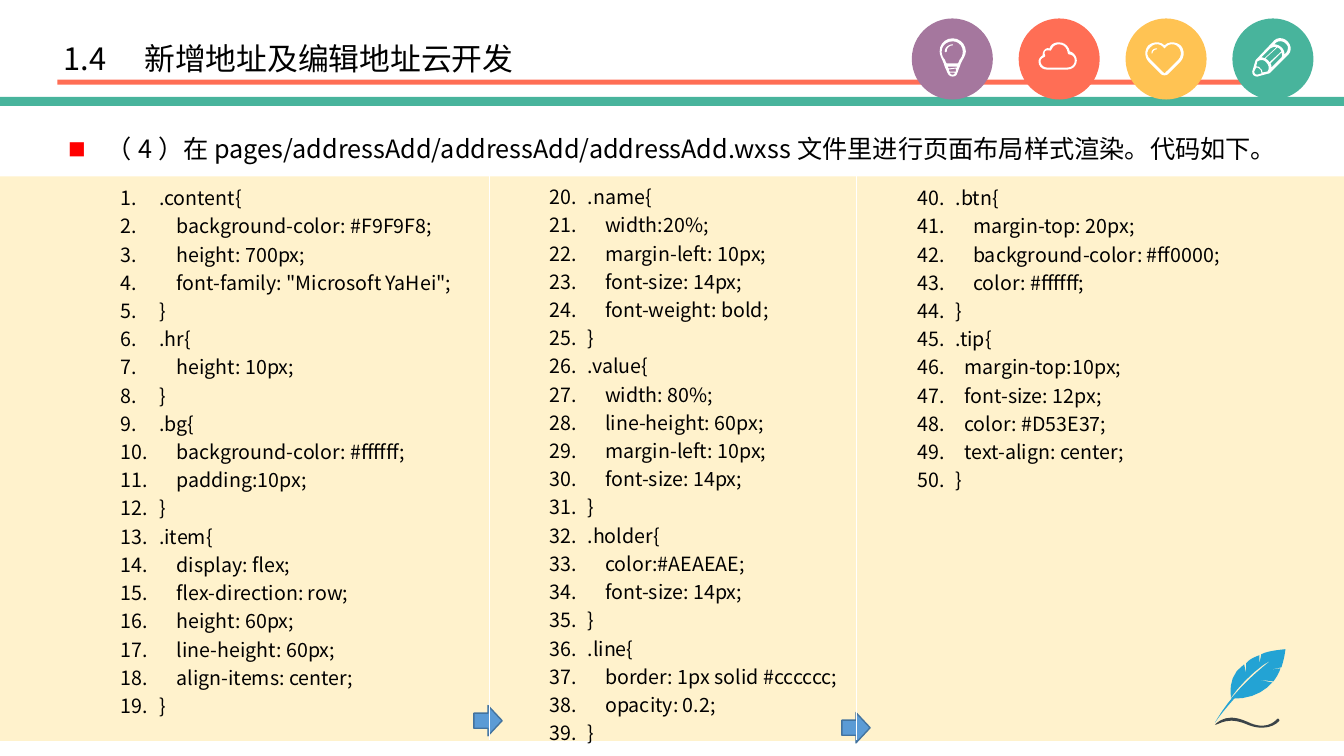
import pptx
import pptx.util
import pptx.dml.color
import pptx.enum.shapes
import pptx.enum.text
from lxml import etree

PX = 9144  # 100 px to the inch
A = "{http://schemas.openxmlformats.org/drawingml/2006/main}"
SHAPE = pptx.enum.shapes.MSO_SHAPE
THEME = {
    "font": "Noto Sans CJK SC", "title": 22, "body": 18, "code": 14,
    "black": "000000", "white": "FFFFFF", "red": "FF0000",
    "coral": "FF6E55", "green": "48B49C", "purple": "A5779E", "yellow": "FFC353",
    "panel": "FFF2CC", "arrow": "5B9BD5", "arrow edge": "43739E",
    "feather": "23A3D4", "ink": "3B4449",
}

# A contour is a list of points: (x, y) ends a line, (x1, y1, x2, y2, x, y) ends a curve.
PENCIL = [
    [(1276, 52), (1274, 54), (1274, 51, 1273, 49, 1271, 47), (1269, 45, 1266, 44, 1264, 44),
     (1266, 42), (1269, 40, 1273, 41, 1275, 43), (1278, 45, 1278, 49, 1276, 52)],
    [(1252, 72), (1252, 71, 1252, 69, 1250, 68), (1249, 66, 1248, 66, 1246, 66), (1247, 61),
     (1250, 59, 1254, 59, 1256, 62), (1259, 65, 1259, 69, 1257, 71)],
    [(1247, 74), (1245, 74, 1244, 73, 1244, 71), (1246, 67), (1247, 67, 1248, 67, 1250, 69),
     (1251, 70, 1251, 71, 1251, 73)],
    [(1254, 58), (1253, 57, 1252, 57, 1251, 57), (1260, 48), (1262, 47, 1264, 46, 1266, 47)],
    [(1259, 62), (1259, 61, 1257, 59, 1255, 58), (1267, 47), (1269, 48, 1270, 49, 1271, 51)],
    [(1261, 67), (1261, 65, 1261, 64, 1260, 63), (1271, 52), (1272, 54, 1272, 57, 1270, 58)],
    [(1277, 41), (1273, 37, 1267, 37, 1264, 40), (1246, 59), (1246, 59, 1245, 60, 1245, 61),
     (1242, 71), (1242, 74, 1244, 76, 1247, 76), (1258, 73), (1258, 73, 1259, 73, 1260, 72),
     (1278, 54), (1281, 51, 1281, 45, 1277, 41)],
]
BULB = [
    [(950, 63), (939, 63), (938, 62, 938, 61, 937, 59), (935, 57, 934, 54, 934, 51),
     (934, 45, 939, 41, 945, 41), (950, 41, 955, 45, 955, 51), (955, 54, 954, 57, 952, 59),
     (951, 61, 951, 62, 950, 63)],
    [(945, 74), (943, 74, 943, 74, 942, 72), (947, 72), (947, 74, 946, 74, 945, 74)],
    [(941, 68), (940, 67, 940, 66, 940, 66), (949, 66), (949, 66, 949, 66, 949, 67)],
    [(948, 71), (942, 71), (942, 71, 941, 70, 941, 69), (948, 68), (948, 69, 948, 70, 948, 71)],
    [(945, 38), (937, 38, 932, 44, 932, 51), (932, 56, 936, 61, 937, 66),
     (940, 72, 940, 76, 945, 76), (950, 76, 949, 72, 952, 66), (953, 61, 958, 56, 958, 51),
     (958, 44, 952, 38, 945, 38)],
]
BULB_GLINT = [[(945, 44), (941, 44, 937, 47, 937, 51), (937, 52, 939, 52, 939, 51),
               (939, 48, 941, 45, 945, 45)]]
HEART = [
    [(1169, 59), (1156, 72), (1155, 73, 1155, 73, 1154, 72), (1141, 59),
     (1137, 56, 1137, 50, 1141, 47), (1144, 43, 1150, 43, 1153, 46), (1155, 48), (1157, 46),
     (1160, 43, 1166, 43, 1169, 47), (1172, 50, 1172, 56, 1169, 59)],
    [(1171, 45), (1166, 41, 1159, 41, 1155, 45), (1151, 41, 1144, 41, 1139, 45),
     (1135, 49, 1135, 57, 1139, 61), (1152, 74), (1154, 75, 1156, 75, 1158, 74), (1171, 61),
     (1175, 57, 1175, 49, 1171, 45)],
]
HEART_GLINT = [[(1147, 48), (1144, 48, 1142, 50, 1142, 53), (1143, 53),
                (1143, 51, 1145, 49, 1147, 49), (1148, 49, 1148, 48, 1147, 48)]]
CLOUD = [
    [(1059, 67), (1038, 67), (1035, 67, 1032, 64, 1032, 61), (1032, 59, 1033, 58, 1035, 57),
     (1037, 56, 1037, 56, 1036, 53), (1036, 51, 1037, 50, 1039, 50),
     (1039, 50, 1040, 50, 1041, 50), (1042, 51, 1042, 50, 1043, 49),
     (1044, 46, 1047, 44, 1050, 44), (1055, 44, 1058, 47, 1059, 52),
     (1059, 53, 1059, 53, 1060, 54), (1064, 54, 1066, 57, 1066, 60),
     (1066, 64, 1063, 67, 1059, 67)],
    [(1061, 51), (1060, 46, 1056, 42, 1050, 42), (1046, 42, 1042, 44, 1041, 48),
     (1037, 47, 1034, 50, 1034, 55), (1032, 56, 1030, 59, 1030, 61),
     (1030, 66, 1034, 69, 1038, 69), (1059, 69), (1064, 69, 1068, 65, 1068, 60),
     (1068, 56, 1065, 52, 1061, 51)],
]
FEATHER = [[
    (1275, 644), (1266, 645, 1257, 646, 1251, 649), (1249, 659), (1249, 650),
    (1244, 652, 1239, 654, 1236, 658), (1236, 668), (1234, 659),
    (1219, 669, 1220, 685, 1221, 692), (1230, 679, 1247, 662, 1262, 654),
    (1262, 654, 1238, 672, 1221, 693), (1241, 694, 1254, 686, 1262, 677), (1247, 674),
    (1263, 676), (1266, 672, 1269, 667, 1270, 663), (1257, 665), (1271, 662),
    (1274, 653, 1275, 644, 1275, 644)]]
QUILL = [[(1224, 690), (1212, 704, 1205, 717, 1205, 717), (1211, 708, 1219, 699, 1226, 691)]]
INK_STROKE = [[
    (1235, 718), (1230, 716, 1225, 715, 1221, 715), (1212, 715, 1206, 720, 1205, 719),
    (1205, 719, 1211, 712, 1221, 712), (1225, 712, 1230, 713, 1237, 716),
    (1243, 719, 1248, 720, 1252, 720), (1261, 720, 1266, 714, 1266, 714),
    (1267, 713, 1267, 713, 1268, 713), (1269, 714, 1269, 715, 1269, 715),
    (1268, 716, 1263, 722, 1252, 722), (1247, 722, 1242, 721, 1235, 718)]]

CODE_COLUMNS = [
    (110, 175, 375, 547, 1, """.content{
    background-color: #F9F9F8;
    height: 700px;
    font-family: "Microsoft YaHei";
}
.hr{
    height: 10px;
}
.bg{
    background-color: #ffffff;
    padding:10px;
}
.item{
    display: flex;
    flex-direction: row;
    height: 60px;
    line-height: 60px;
    align-items: center;
}"""),
    (535, 174, 346, 573, 20, """.name{
    width:20%;
    margin-left: 10px;
    font-size: 14px;
    font-weight: bold;
}
.value{
    width: 80%;
    line-height: 60px;
    margin-left: 10px;
    font-size: 14px;
}
.holder{
    color:#AEAEAE;
    font-size: 14px;
}
.line{
    border: 1px solid #cccccc;
    opacity: 0.2;
}"""),
    (900, 175, 414, 321, 40, """.btn{
    margin-top: 20px;
    background-color: #ff0000;
    color: #ffffff;
}
.tip{
  margin-top:10px;
  font-size: 12px;
  color: #D53E37;
  text-align: center;
}"""),
]


def paint(sp, fill, edge=None):
    sp.shadow.inherit = False
    sp.fill.solid()
    sp.fill.fore_color.rgb = pptx.dml.color.RGBColor.from_string(THEME[fill])
    if edge:
        sp.line.color.rgb = pptx.dml.color.RGBColor.from_string(THEME[edge])
        sp.line.width = pptx.util.Pt(1)
    else:
        sp.line.fill.background()


def write(p, text, size, spacing):
    """Fill a left-aligned paragraph with one run in the theme font."""
    p.alignment = pptx.enum.text.PP_ALIGN.LEFT
    p.line_spacing = spacing
    p.space_before = pptx.util.Pt(0)
    r = p.add_run()
    r.text = text
    r.font.size = pptx.util.Pt(THEME[size])
    r.font.color.rgb = pptx.dml.color.RGBColor.from_string(THEME["black"])
    r.font.name = THEME["font"]
    etree.SubElement(r.font._element, A + "ea", typeface=THEME["font"])


prs = pptx.Presentation()
prs.slide_width, prs.slide_height = 1333 * PX, 750 * PX
s = prs.slides.add_slide(prs.slide_layouts[1])
hanging = {"marL": str(38 * PX), "indent": str(-38 * PX)}

# Title and lead line
title, body = s.placeholders
for sp, box in ((title, (53, 36, 756, 48)), (body, (58, 117, 1242, 46))):
    sp.left, sp.top, sp.width, sp.height = [v * PX for v in box]
    sp.text_frame.auto_size = pptx.enum.text.MSO_AUTO_SIZE.NONE
title.text_frame.vertical_anchor = pptx.enum.text.MSO_ANCHOR.MIDDLE
write(title.text_frame.paragraphs[0], "1.4\u3000新增地址及编辑地址云开发".replace("\u3000", "　"), "title", 0.9)
p = body.text_frame.paragraphs[0]
pPr = p._p.get_or_add_pPr()
pPr.attrib.update(hanging)
etree.SubElement(etree.SubElement(pPr, A + "buClr"), A + "srgbClr", val=THEME["red"])
etree.SubElement(pPr, A + "buSzPct", val="70000")
etree.SubElement(pPr, A + "buFont", typeface=THEME["font"])
etree.SubElement(pPr, A + "buChar", char="■")
write(p, "（4）在pages/addressAdd/addressAdd/addressAdd.wxss文件里进行页面布局样式渲染。代码如下。",
      "body", pptx.util.Pt(29))

# Header bars, code panel, badges and arrows
for kind, box, fill, edge in [
    (SHAPE.RECTANGLE, (57, 79, 1233, 5), "coral", None),
    (SHAPE.RECTANGLE, (-1, 96, 1334, 9), "green", None),
    (SHAPE.RECTANGLE, (0, 175, 1333, 560), "panel", None),
    *[(SHAPE.OVAL, (905 + 106 * i, 19, 79, 79), hue, hue)
      for i, hue in enumerate(("purple", "coral", "yellow", "green"))],
    (SHAPE.RIGHT_ARROW, (835, 707, 28, 30), "arrow", "arrow edge"),
    (SHAPE.RIGHT_ARROW, (470, 700, 28, 30), "arrow", "arrow edge"),
]:
    paint(s.shapes.add_shape(kind, *[v * PX for v in box]), fill, edge)

# Numbered code
for left, top, width, height, start, code in CODE_COLUMNS:
    tf = s.shapes.add_textbox(left * PX, top * PX, width * PX, height * PX).text_frame
    tf.word_wrap = True
    for i, line in enumerate(code.split("\n")):
        p = tf.add_paragraph() if i else tf.paragraphs[0]
        pPr = p._p.get_or_add_pPr()
        pPr.attrib.update(hanging)
        etree.SubElement(pPr, A + "buFont", typeface=THEME["font"])
        etree.SubElement(pPr, A + "buAutoNum", type="arabicPeriod", startAt=str(start))
        write(p, line, "code", pptx.util.Pt(20.16))

for x in (485, 849):
    divider = s.shapes.add_connector(pptx.enum.shapes.MSO_CONNECTOR.STRAIGHT,
                                     x * PX, 175 * PX, x * PX, 734 * PX)
    divider.line.color.rgb = pptx.dml.color.RGBColor.from_string(THEME["white"])
    divider.line.width = pptx.util.Pt(0.5)
    etree.SubElement(divider._element.spPr, A + "effectLst")

# Icons, with each curve drawn as short chords
for contours, fill in [
    (PENCIL, "white"), (BULB, "white"), (BULB_GLINT, "white"), (HEART, "white"),
    (HEART_GLINT, "white"), (CLOUD, "white"), (FEATHER, "feather"), (QUILL, "feather"),
    (INK_STROKE, "ink"),
]:
    outline = None
    for (x, y), *steps in contours:
        if outline is None:
            outline = s.shapes.build_freeform(x * PX, y * PX)
        else:
            outline.move_to(x * PX, y * PX)
        points = []
        for *handles, end_x, end_y in steps:
            if handles:
                x1, y1, x2, y2 = handles
                for t in (0.2, 0.4, 0.6, 0.8):
                    u = 1 - t
                    weights = (u ** 3, 3 * u * u * t, 3 * u * t * t, t ** 3)
                    points.append([round(PX * sum(w * v for w, v in zip(weights, axis)))
                                   for axis in ((x, x1, x2, end_x), (y, y1, y2, end_y))])
            points.append((end_x * PX, end_y * PX))
            x, y = end_x, end_y
        outline.add_line_segments(points, close=True)
    paint(outline.convert_to_shape(), fill)

prs.save("out.pptx")
